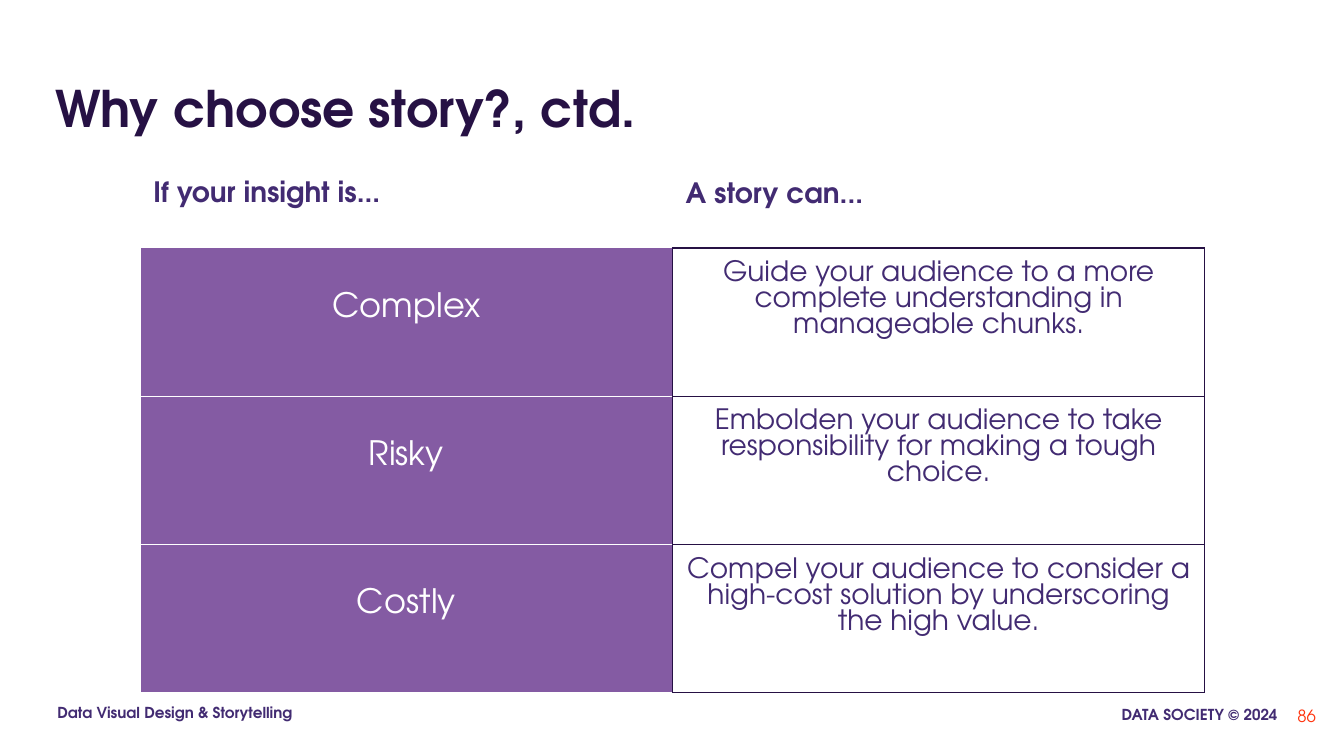
import dataclasses

import lxml.etree
import pptx
import pptx.dml.color
import pptx.enum.text
import pptx.oxml.ns
import pptx.util

PX = 9144  # 100 px to the inch
ALIGN = pptx.enum.text.PP_ALIGN
ANCHOR = pptx.enum.text.MSO_ANCHOR


@dataclasses.dataclass(frozen=True)
class Theme:
    font: str = "TeX Gyre Adventor"
    dark: str = "261144"
    purple: str = "422B72"
    fill: str = "845BA3"
    white: str = "FFFFFF"
    accent: str = "FF350F"
    title: float = 36
    insight: float = 24
    body: float = 20
    number: float = 12
    footer: float = 10.8


THEME = Theme()

STORIES = [
    ("Complex", "Guide your audience to a more complete understanding in manageable chunks."),
    ("Risky", "Embolden your audience to take responsibility for making a tough choice."),
    ("Costly", "Compel your audience to consider a high-cost solution by underscoring the high value."),
]


def px(length):
    return pptx.util.Emu(length * PX)


def rgb(color):
    return pptx.dml.color.RGBColor.from_string(color)


def style_text(frame, text, size, color, bold=False, align=ALIGN.LEFT):
    frame.word_wrap = True
    frame.text = text
    para = frame.paragraphs[0]
    para.alignment = align
    font = para.runs[0].font
    font.name = THEME.font
    font.size = pptx.util.Pt(size)
    font.bold = bold
    font.color.rgb = rgb(color)


def set_margins(target, left, top, right, bottom):
    target.margin_left, target.margin_top = px(left), px(top)
    target.margin_right, target.margin_bottom = px(right), px(bottom)


def add_label(page, place, margins, text, size, color, anchor=ANCHOR.TOP, **style):
    frame = page.shapes.add_textbox(*map(px, place)).text_frame
    set_margins(frame, *margins)
    frame.vertical_anchor = anchor
    style_text(frame, text, size, color, **style)


def set_borders(cell, **edges):
    """Draw cell edges; each keyword is an edge tag with its (colour, points)."""
    properties = cell._tc.get_or_add_tcPr()
    for index, tag in enumerate(("lnL", "lnR", "lnT", "lnB")):
        color, points = edges[tag]
        line = lxml.etree.Element(pptx.oxml.ns.qn("a:" + tag), w=str(pptx.util.Pt(points)))
        solid = lxml.etree.SubElement(line, pptx.oxml.ns.qn("a:solidFill"))
        lxml.etree.SubElement(solid, pptx.oxml.ns.qn("a:srgbClr"), val=color)
        properties.insert(index, line)


def fill_cell(cell, text, size, color, fill, top):
    set_margins(cell, 13, top, 13, 13)
    cell.fill.solid()
    cell.fill.fore_color.rgb = rgb(fill)
    style_text(cell.text_frame, text, size, color, align=ALIGN.CENTER)


def add_story_table(page):
    table = page.shapes.add_table(len(STORIES), 2, px(139), px(246), px(1056), px(441)).table
    table.first_row = table.horz_banding = False
    dark, light = (THEME.dark, 1), (THEME.white, 0.75)
    for row, (insight, story) in enumerate(STORIES):
        table.rows[row].height = px(147)
        left, right = table.cell(row, 0), table.cell(row, 1)
        fill_cell(left, insight, THEME.insight, THEME.white, THEME.fill, 44)
        fill_cell(right, story, THEME.body, THEME.purple, THEME.white, 13)
        set_borders(left, lnL=light, lnR=dark, lnT=light, lnB=light)
        set_borders(right, lnL=dark, lnR=dark, lnT=dark, lnB=dark)


def main():
    deck = pptx.Presentation()
    deck.slide_width, deck.slide_height = px(1333), px(750)
    page = deck.slides.add_slide(deck.slide_layouts[6])

    footer = dict(size=THEME.footer, color=THEME.purple, bold=True)
    add_label(page, (1057, 689, 222, 42), (12, 15, 12, 12), "DATA SOCIETY © 2024",
              align=ALIGN.RIGHT, **footer)
    add_label(page, (45, 687, 274, 42), (12, 15, 12, 12),
              "Data Visual Design & Storytelling", **footer)
    add_label(page, (1235, 689, 80, 42), (10, 5, 10, 5), "86", THEME.number, THEME.accent,
              anchor=ANCHOR.MIDDLE, align=ALIGN.RIGHT)
    add_label(page, (45, 57, 1242, 84), (10, 5, 10, 5), "Why choose story?, ctd.",
              THEME.title, THEME.dark, anchor=ANCHOR.BOTTOM, bold=True)
    add_story_table(page)
    heading = dict(size=THEME.body, color=THEME.purple, bold=True)
    add_label(page, (139, 160, 298, 63), (13, 13, 13, 7), "If your insight is...", **heading)
    add_label(page, (667, 167, 298, 63), (13, 7, 13, 7), "A story can...", **heading)
    deck.save("out.pptx")


if __name__ == "__main__":
    main()
